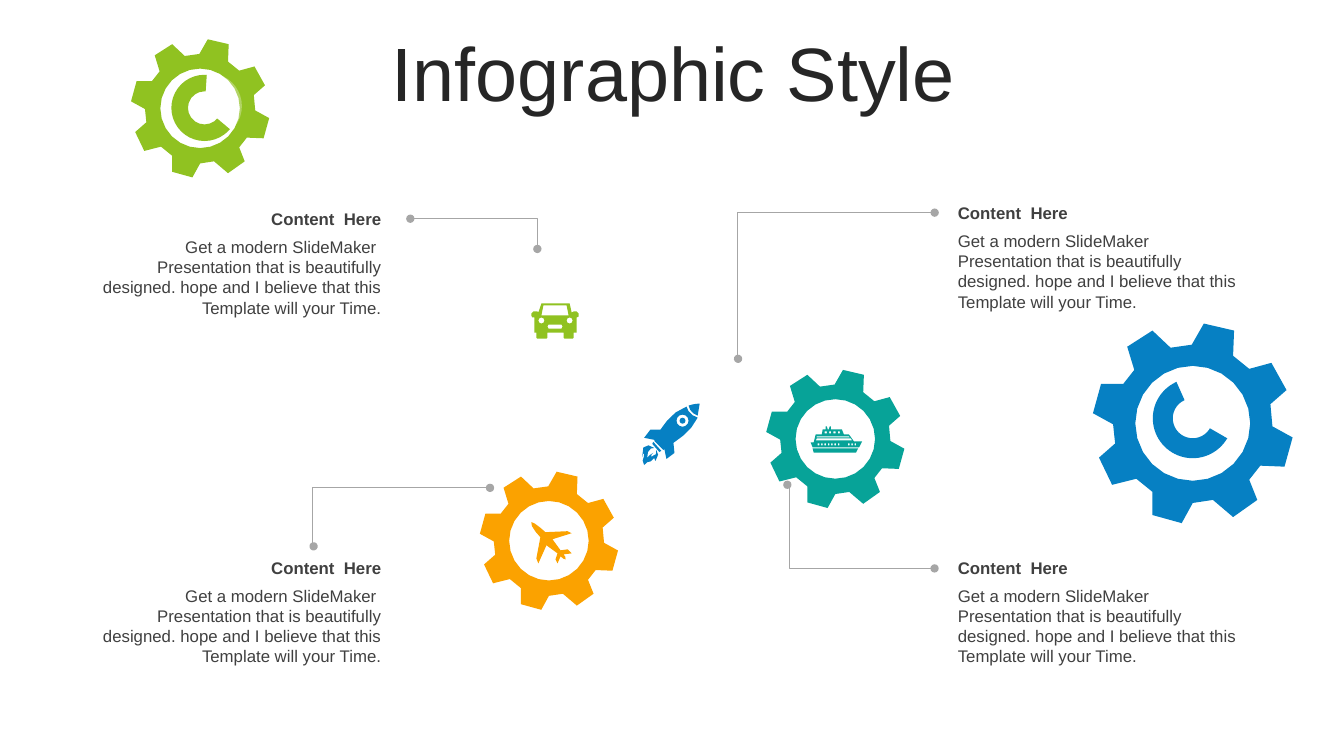
"""Build the Infographic Style slide with gears, icons, callouts and doughnut charts."""
from dataclasses import dataclass
from math import cos, dist, pi, radians, sin
from typing import Any

from lxml import etree
from pptx import Presentation
from pptx.chart.data import CategoryChartData
from pptx.dml.color import RGBColor
from pptx.enum.chart import XL_CHART_TYPE
from pptx.enum.shapes import MSO_CONNECTOR
from pptx.enum.text import MSO_ANCHOR, MSO_AUTO_SIZE, PP_ALIGN
from pptx.oxml.ns import qn
from pptx.util import Pt

PX = 9144
FONT = "Arial"
ELBOW = MSO_CONNECTOR.ELBOW
DOUGHNUT = XL_CHART_TYPE.DOUGHNUT
LEFT, CENTER, RIGHT = PP_ALIGN.LEFT, PP_ALIGN.CENTER, PP_ALIGN.RIGHT
TOP, MIDDLE = MSO_ANCHOR.TOP, MSO_ANCHOR.MIDDLE
GROW = MSO_AUTO_SIZE.SHAPE_TO_FIT_TEXT
COLORS = {"title": "262626", "text": "404040", "line": "A6A6A6", "white": "FFFFFF", "black": "000000",
          "blue": "0680C3", "teal": "07A398", "green": "90C221", "orange": "FBA200"}
HEADING = "Content  Here"
BODY = ("Get a modern SlideMaker  Presentation that is beautifully designed. "
        "hope and I believe that this Template will your Time.")
Contour = list[tuple[float, ...]]


@dataclass
class Callout:
    left: int
    top: int
    align: Any


@dataclass
class Leader:
    start: tuple[int, int]
    end: tuple[int, int]
    bend: int


@dataclass
class Gear:
    left: int
    top: int
    size: int
    color: str


@dataclass
class Icon:
    contours: list[Contour]
    color: str
    rotation: int = 0


@dataclass
class Dial:
    left: int
    top: int
    size: int
    values: tuple[int, int]
    start_angle: int
    color: str
    explosion: int = 0


def circle(x: float, y: float, radius: float, corners: int) -> Contour:
    angles = (2 * pi * i / corners for i in range(corners))
    return [(x + radius * cos(angle), y + radius * sin(angle)) for angle in angles]


def box(left: float, top: float, width: float, height: float) -> Contour:
    return [(left, top), (left, top + height), (left + width, top + height), (left + width, top)]


GEAR_SIZE, GEAR_CENTER, GEAR_BORE = 198, 99, 57
GEAR_RIM: Contour = [
    (110, 0), (140, 7), (139, 32), (155, 45), (177, 39), (192, 66), (176, 80), (178, 102), (198, 113),
    (190, 142), (166, 141), (155, 155), (163, 175), (139, 192), (119, 175), (99, 178), (88, 198),
    (59, 190), (59, 167), (43, 154), (19, 160), (6, 133), (22, 119), (20, 100), (0, 89), (8, 60),
    (30, 60), (41, 46), (34, 23), (59, 7), (77, 24), (98, 21)]
CAR: list[Contour] = [
    [(537, 301), (565, 301), (567, 310), (569, 309), (572, 309), (574, 311), (574, 314), (572, 315),
     (572, 330), (569, 330), (569, 335), (568, 336), (560, 336), (559, 335), (559, 330), (543, 330),
     (543, 335), (542, 336), (533, 336), (532, 335), (532, 330), (530, 330), (530, 315), (528, 315),
     (527, 313), (527, 311), (529, 309), (533, 309), (534, 310)],
    [(539, 303), (537, 313), (564, 313), (562, 303)],
    [(544, 322), (543, 324), (544, 326), (557, 326), (558, 324), (557, 322)],
    circle(537, 318, 3, 8), circle(565, 318, 3, 8)]
SHIP: list[Contour] = [
    [(806, 445), (851, 445), (849, 449), (807, 449)],
    [(823, 423), (824, 423), (824, 426), (835, 426), (837, 431), (842, 431), (847, 438), (855, 438),
     (852, 444), (806, 444), (804, 439), (807, 439), (809, 431),
     (815, 431), (816, 426), (819, 426), (819, 423), (820, 423), (821, 426), (822, 426)],
    [(810, 435), (809, 437), (845, 437), (844, 435)],
    [(810, 433), (810, 434), (843, 434), (842, 433)],
    *[box(811 + 3.33 * i, 440, 1.6, 2) for i in (*range(7), 9, 10, 11)],
    *[box(818 + 4.33 * i, 428, 2, 2) for i in range(4)]]
PLANE: list[Contour] = [
    [(567, 549), (559, 550), (560, 551, 562, 554, 561, 555), (560, 556, 558, 553, 556, 552), (553, 559),
     (551, 555), (553, 549), (542, 541), (534, 559), (532, 554), (536, 533),
     (532, 529, 525, 520, 527, 518), (528, 517, 537, 524, 541, 528), (563, 527), (567, 529), (548, 535),
     (556, 546), (563, 545)]]
ROCKET: list[Contour] = [
    [(649, 445), (646, 444, 641, 448, 642, 455), (644, 452, 646, 451, 648, 450),
     (647, 451, 645, 452, 646, 454), (648, 451, 652, 454, 651, 447), (655, 453, 651, 454, 650, 458),
     (649, 455), (646, 461, 641, 457, 639, 462), (635, 457, 640, 454, 639, 451),
     (639, 450, 637, 450, 637, 454), (635, 440, 644, 441, 649, 445)],
    [(648, 439), (656, 448), (654, 449), (647, 441)],
    [(681, 404), (682, 409, 686, 413, 692, 415), (687, 426, 677, 434, 668, 440), (669, 450), (661, 456),
     (659, 446), (658, 447), (649, 438), (649, 437), (639, 435), (645, 427), (655, 427),
     (661, 418, 669, 408, 681, 404)],
    [(694, 401), (692, 413), (687, 411, 684, 408, 683, 403), (686, 402, 690, 401, 694, 401)],
    circle(677, 418, 6, 12), circle(677, 418, 3, 8)]
ROCKET_CENTER = (664.5, 430)

CALLOUTS = [Callout(950, 196, LEFT), Callout(89, 548, RIGHT), Callout(89, 202, RIGHT), Callout(950, 548, LEFT)]
LEADERS = [Leader((732, 356), (927, 211), -300), Leader((927, 564), (781, 481), 98900),
           Leader((311, 542), (486, 484), -500), Leader((407, 217), (533, 247), 99900)]
GEARS = [Gear(1084, 321, 198, "blue"), Gear(760, 367, 137, "teal"),
         Gear(130, 39, 137, "green"), Gear(476, 468, 137, "orange")]
ICONS = [Icon(CAR, "green"), Icon(SHIP, "teal"), Icon(PLANE, "orange"), Icon(ROCKET, "blue", 45)]
DIALS = [Dial(165, 67, 80, (65, 35), 130, "green", 14), Dial(1138, 371, 90, (60, 40), 120, "blue")]


def rgb(name: str) -> RGBColor:
    return RGBColor.from_string(COLORS[name])


def flatten(contour: Contour) -> Contour:
    points: Contour = []
    for step in contour:
        if len(step) == 2:
            points.append(step)
            continue
        nodes = [points[-1], step[0:2], step[2:4], step[4:6]]
        count = 3 if dist(nodes[0], nodes[3]) > 6 else 2
        for t in (i / count for i in range(1, count + 1)):
            weights = ((1 - t) ** 3, 3 * t * (1 - t) ** 2, 3 * t * t * (1 - t), t ** 3)
            points.append(tuple(sum(w * node[axis] for w, node in zip(weights, nodes)) for axis in (0, 1)))
    return points


def turn_back(point: tuple[float, ...], degrees: int) -> tuple[float, float]:
    (x, y), angle = ROCKET_CENTER, radians(degrees)
    dx, dy = point[0] - x, point[1] - y
    return x + dx * cos(angle) + dy * sin(angle), y - dx * sin(angle) + dy * cos(angle)


def draw_outline(shapes: Any, icon: Icon) -> None:
    outlines = [[tuple(round(v * PX) for v in turn_back(point, icon.rotation)) for point in flatten(contour)]
                for contour in icon.contours]
    builder = shapes.build_freeform(*outlines[0][0])
    for index, outline in enumerate(outlines):
        if index:
            builder.move_to(*outline[0])
        builder.add_line_segments(outline[1:], close=True)
    silhouette = builder.convert_to_shape()
    silhouette.fill.solid()
    silhouette.fill.fore_color.rgb = rgb(icon.color)
    silhouette.line.fill.background()
    silhouette.shadow.inherit = False
    silhouette.rotation = icon.rotation


def draw_gear(shapes: Any, gear: Gear) -> None:
    ratio = gear.size / GEAR_SIZE
    rim, bore = [[(gear.left + x * ratio, gear.top + y * ratio) for x, y in contour]
                 for contour in (GEAR_RIM, circle(GEAR_CENTER, GEAR_CENTER, GEAR_BORE, 24))]
    draw_outline(shapes, Icon([rim, bore], gear.color))


def draw_text(shapes: Any, place: tuple[int, int, int, int], words: str, size: int, color: str,
              align: Any, anchor: Any, bold: bool = False) -> Any:
    frame = shapes.add_textbox(*(v * PX for v in place)).text_frame
    frame.word_wrap, frame.vertical_anchor = True, anchor
    paragraph = frame.paragraphs[0]
    paragraph.alignment = align
    run = paragraph.add_run()
    run.text = words
    run.font.name, run.font.size, run.font.bold = FONT, Pt(size), bold
    run.font.color.rgb = rgb(color)
    return frame


def draw_callout(shapes: Any, callout: Callout) -> None:
    group = shapes.add_group_shape().shapes
    for words, drop, height, anchor in ((HEADING, 0, 30, MIDDLE), (BODY, 28, 91, TOP)):
        place = (callout.left, callout.top + drop, 299, height)
        frame = draw_text(group, place, words, 12, "text", callout.align, anchor, words == HEADING)
        frame.margin_left, frame.auto_size = 0, GROW


def draw_leader(shapes: Any, leader: Leader) -> None:
    elbow = shapes.add_connector(ELBOW, *(v * PX for v in leader.start + leader.end))
    elbow.line.color.rgb, elbow.line.width = rgb("line"), Pt(0.5)
    properties = elbow.line._get_or_add_ln()
    for tag in ("a:headEnd", "a:tailEnd"):
        etree.SubElement(properties, qn(tag), type="oval")
    etree.SubElement(elbow._element.spPr, qn("a:effectLst"))
    adjustments = next(elbow._element.iter(qn("a:avLst")))
    etree.SubElement(adjustments, qn("a:gd"), name="adj1", fmla=f"val {leader.bend}")


def draw_dial(shapes: Any, dial: Dial) -> None:
    data = CategoryChartData()
    data.categories = ["1", "2"]
    data.add_series("Series 1", dial.values)
    place = (v * PX for v in (dial.left, dial.top, dial.size, dial.size))
    chart = shapes.add_chart(DOUGHNUT, *place, data).chart
    chart.has_legend = chart.has_title = False
    chart.font.name, chart.font.size, chart.font.color.rgb = FONT, Pt(18), rgb("black")
    plot = chart.plots[0]
    plot.vary_by_categories = True
    series = plot.series[0]
    for index, color in enumerate((dial.color, "white")):
        look = series.points[index].format
        look.fill.solid()
        look.fill.fore_color.rgb = rgb(color)
        look.line.fill.background()
    rest = list(series._element.iter(qn("a:srgbClr")))[-1]
    etree.SubElement(rest, qn("a:alpha"), val="31000")
    if dial.explosion:
        explosion = etree.Element(qn("c:explosion"), val=str(dial.explosion))
        series._element.find(qn("c:dPt")).addprevious(explosion)
    plot._element.find(qn("c:firstSliceAng")).set("val", str(dial.start_angle))
    plot._element.find(qn("c:holeSize")).set("val", "65")
    area = plot._element.getparent()
    for old in area.findall(qn("c:layout")):
        area.remove(old)
    layout = etree.Element(qn("c:layout"))
    area.insert(0, layout)
    manual = etree.SubElement(layout, qn("c:manualLayout"))
    for tag, value in (("layoutTarget", "inner"), ("xMode", "edge"), ("yMode", "edge"),
                       ("x", "0.06"), ("y", "0.05"), ("w", "0.88"), ("h", "0.88")):
        etree.SubElement(manual, qn(f"c:{tag}"), val=value)


def main() -> None:
    deck = Presentation()
    deck.slide_width, deck.slide_height = 1333 * PX, 750 * PX
    shapes = deck.slides.add_slide(deck.slide_layouts[6]).shapes
    title = draw_text(shapes, (35, 37, 1266, 79), "Infographic Style", 54, "title", CENTER, MIDDLE)
    title.paragraphs[0].line_spacing = 0.9
    for callout in CALLOUTS:
        draw_callout(shapes, callout)
    for leader in LEADERS:
        draw_leader(shapes, leader)
    gear_train = shapes.add_group_shape().shapes
    for gear in GEARS:
        draw_gear(gear_train, gear)
    for icon in ICONS:
        draw_outline(shapes, icon)
    for dial in DIALS:
        draw_dial(shapes, dial)
    deck.save("out.pptx")


if __name__ == "__main__":
    main()
